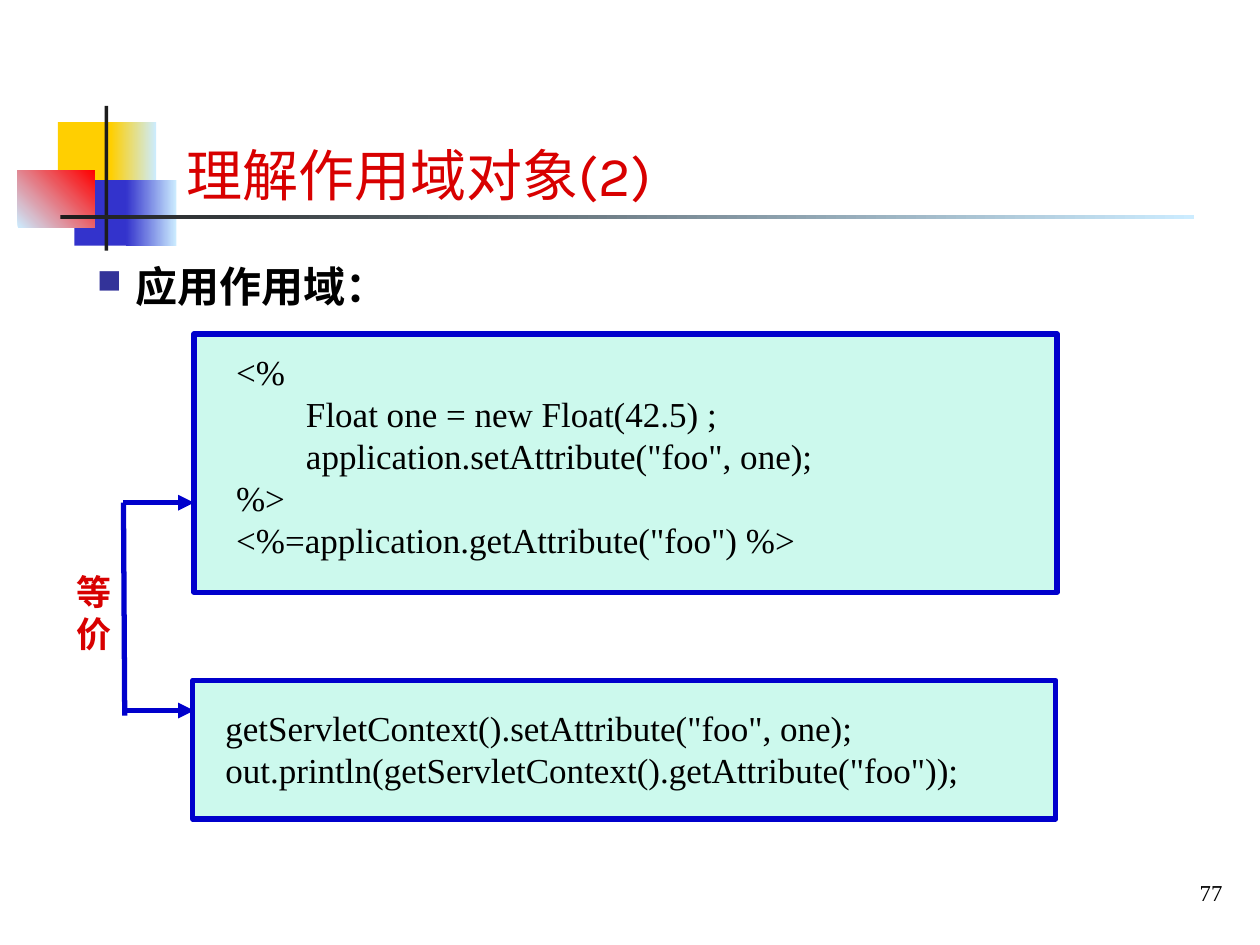
"""Build the slide on the application scope object."""
from lxml import etree
from pptx import Presentation
from pptx import util as u
from pptx.dml.color import RGBColor
from pptx.enum import shapes, text
from pptx.oxml.ns import qn

SERIF = "Times New Roman"
BLUE, RED, MINT = "0000CC", "D80000", "00E4A8"
GOLD, NAVY, PALE, DARK = "FFCF01", "3333CC", "CCECFF", "1C1C1C"

TITLE = "理解作用域对象(2)"
HEAD = ["应用作用域："]
CODE = [
    "        <%",
    "                Float one = new Float(42.5) ;",
    '                application.setAttribute("foo", one);',
    "        %>",
    '        <%=application.getAttribute("foo") %>',
]
SAME = [
    'getServletContext().setAttribute("foo", one);',
    'out.println(getServletContext().getAttribute("foo"));',
]
DECOR = [
    ((0.46, 0.97, 0.48, 0.52), [GOLD], 0),
    ((0.88, 0.97, 0.36, 0.52), [GOLD, PALE], 0),
    ((0.59, 1.43, 0.46, 0.52), [NAVY], 0),
    ((1, 1.43, 0.4, 0.52), [NAVY, PALE], 0),
    ((0.14, 1.35, 0.61, 0.46), [PALE, "FF0000"], 45),
    ((0.83, 0.84, 0.03, 1.15), [DARK], 0),
    ((0.48, 1.71, 9, 0.03), [DARK, PALE], 0),
]
PANELS = [(1.53, 5.4, 6.85, 1.1), (1.54, 2.65, 6.85, 2.05)]
LINES = [
    ((0.98, 3.99), (0.99, 5.68), False),
    ((0.98, 3.99), (1.54, 3.99), True),
    ((0.98, 5.64), (1.54, 5.64), True),
]


def tint(color, code):
    color.rgb = RGBColor.from_string(code)


def spot(nums):
    return [u.Inches(n) for n in nums]


def add(node, tag, **attrs):
    return etree.SubElement(node, qn(tag), attrs)


def rect(slide, box, fills, angle=0):
    shape = slide.shapes.add_shape(shapes.MSO_SHAPE.RECTANGLE, *spot(box))
    shape.shadow.inherit = False
    shape.line.fill.background()
    if len(fills) == 1:
        shape.fill.solid()
        tint(shape.fill.fore_color, fills[0])
    else:
        shape.fill.gradient()
        shape.fill.gradient_angle = angle
        for stop, code in zip(shape.fill.gradient_stops, fills):
            tint(stop.color, code)
    return shape


def panel(slide, box):
    shape = rect(slide, box, [MINT])
    color = shape._element.spPr.find(qn("a:solidFill"))[0]
    add(color, "a:alpha", val="20000")
    tint(shape.line.color, BLUE)
    shape.line.width = u.Pt(3)


def link(slide, start, end, arrow):
    line = slide.shapes.add_connector(
        shapes.MSO_CONNECTOR.STRAIGHT, *spot(start + end))
    tint(line.line.color, BLUE)
    line.line.width = u.Pt(3)
    if arrow:
        add(line.line._get_or_add_ln(), "a:tailEnd", type="triangle")
    add(line._element.spPr, "a:effectLst")


def write(shape, rows, size=20, font=SERIF, color="000000", bold=False,
          align=text.PP_ALIGN.LEFT, anchor=text.MSO_ANCHOR.TOP, bullet=None):
    frame = shape.text_frame
    frame.word_wrap = True
    frame.auto_size = text.MSO_AUTO_SIZE.NONE
    frame.vertical_anchor = anchor
    for i, row in enumerate(rows):
        para = frame.add_paragraph() if i else frame.paragraphs[0]
        para.alignment = align
        if bullet:
            props = para._p.get_or_add_pPr()
            props.set("marL", str(u.Inches(0.31)))
            props.set("indent", str(u.Inches(-0.31)))
            add(add(props, "a:buClr"), "a:srgbClr", val=bullet)
            add(props, "a:buSzPct", val="80000")
            add(props, "a:buChar", char="■")
        run = para.add_run()
        run.text = row
        run.font.size, run.font.name, run.font.bold = u.Pt(size), font, bold
        tint(run.font.color, color)


def note(slide, box, rows, **style):
    write(slide.shapes.add_textbox(*spot(box)), rows, **style)


def main():
    deck = Presentation()
    deck.slide_width, deck.slide_height = spot((10, 7.5))
    slide = deck.slides.add_slide(deck.slide_layouts[5])

    for box, fills, angle in DECOR:
        rect(slide, box, fills, angle)
    for box in PANELS:
        panel(slide, box)

    title = slide.shapes.title
    title.left, title.top, title.width, title.height = spot(
        (1.38, 0.52, 7.32, 1.18))
    write(title, [TITLE], size=32, font="Karla", color=RED,
          anchor=text.MSO_ANCHOR.BOTTOM)

    note(slide, (0.67, 2.02, 8.98, 1.34), HEAD, size=24, bold=True,
         bullet="333399")
    note(slide, (1.22, 2.73, 7.8, 1.77), CODE)
    note(slide, (1.69, 5.56, 6.54, 0.77), SAME)
    note(slide, (0.51, 4.48, 0.67, 0.77), ["等价"], color=RED, bold=True)
    note(slide, (7.89, 6.9, 1.91, 0.37), ["77"], size=13,
         align=text.PP_ALIGN.RIGHT, anchor=text.MSO_ANCHOR.MIDDLE)

    for start, end, arrow in LINES:
        link(slide, start, end, arrow)
    deck.save("out.pptx")


if __name__ == "__main__":
    main()
